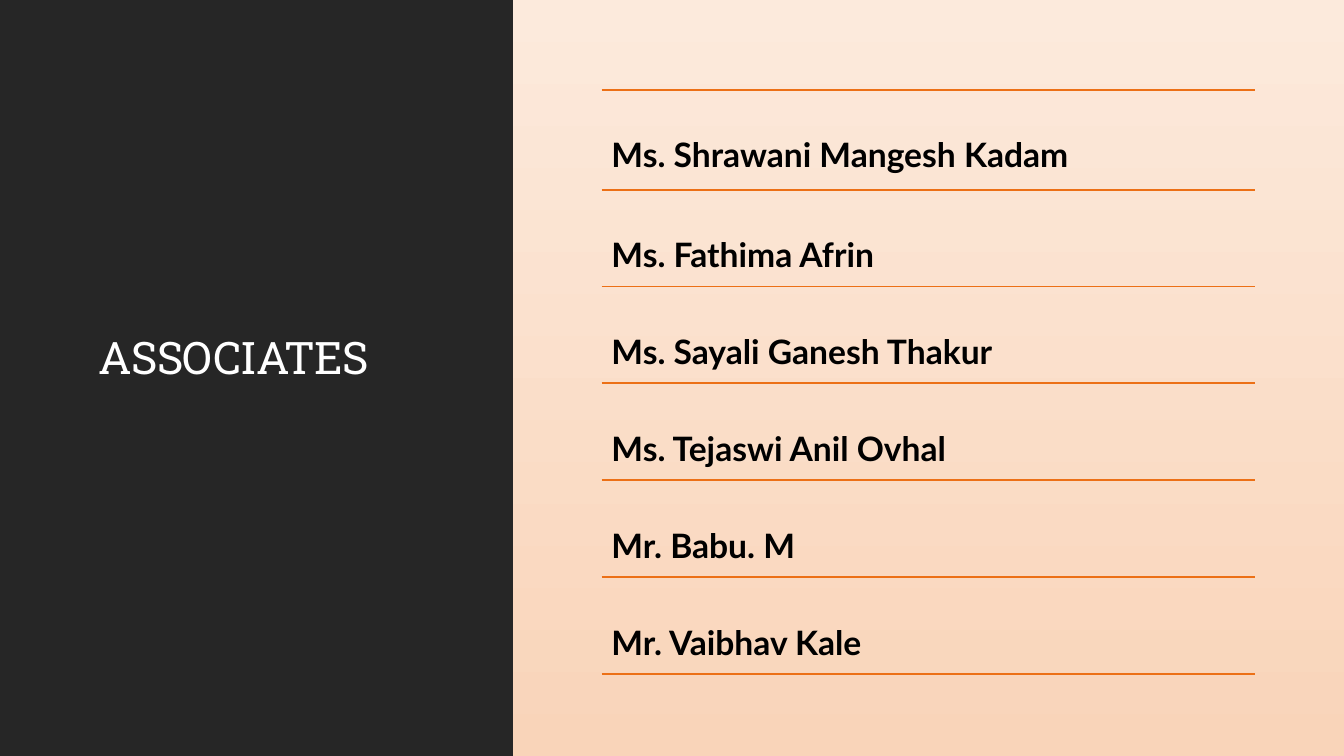
from pptx import Presentation
from pptx.dml.color import RGBColor
from pptx.enum import shapes, text
from pptx.oxml.ns import qn
from pptx.util import Cm, Pt

DARK = RGBColor(0x26, 0x26, 0x26)
WHITE = RGBColor(0xFF, 0xFF, 0xFF)
BLACK = RGBColor(0, 0, 0)
ORANGE = RGBColor(0xEC, 0x70, 0x16)
PEACH_TOP = RGBColor(0xFC, 0xEA, 0xDC)
PEACH_BOTTOM = RGBColor(0xF9, 0xD4, 0xB9)

ASSOCIATES = [
    "Ms. Shrawani Mangesh Kadam",
    "Ms. Fathima Afrin",
    "Ms. Sayali Ganesh Thakur",
    "Ms. Tejaswi Anil Ovhal",
    "Mr. Babu. M",
    "Mr. Vaibhav Kale",
]
FIRST_ROW = Cm(2.52)
ROW = Cm(2.44)


def paint_background(slide):
    fill = slide.background.fill
    fill.gradient()
    fill.gradient_angle = 270
    for stop, color in zip(fill.gradient_stops, (PEACH_TOP, PEACH_BOTTOM)):
        stop.color.rgb = color


def add_text(slide, words, left, top, width, height, font, size, color):
    sp = slide.shapes.add_textbox(left, top, width, height)
    tf = sp.text_frame
    tf.word_wrap = True
    tf.text = words
    p = tf.paragraphs[0]
    p.line_spacing = 0.9
    r = p.runs[0]
    r.font.name = font
    r.font.size = Pt(size)
    r.font.color.rgb = color
    return tf, r


def add_title_panel(slide, left, top, width, height):
    panel = slide.shapes.add_shape(
        shapes.MSO_SHAPE.RECTANGLE, left, top, width, height)
    panel.shadow.inherit = False
    panel.fill.solid()
    panel.fill.fore_color.rgb = DARK
    panel.line.fill.background()
    tf, r = add_text(slide, "ASSOCIATES", left + Cm(2.24), top + Cm(7.29),
                     width - Cm(3.23), Cm(2.51), "Roboto Slab", 32, WHITE)
    tf.vertical_anchor = text.MSO_ANCHOR.BOTTOM
    r.font._element.set("spc", "-50")


def add_rule(slide, left, top, width):
    rule = slide.shapes.add_connector(
        shapes.MSO_CONNECTOR.STRAIGHT, left, top, left + width, top)
    rule.line.color.rgb = ORANGE
    rule.line.width = Pt(1.25)
    sp_pr = rule._element.spPr
    sp_pr.append(sp_pr.makeelement(qn("a:effectLst"), {}))


def add_name_list(slide, left, top, width):
    """Each name stands at the foot of its row, between two rules."""
    add_rule(slide, left, top, width)
    for i, name in enumerate(ASSOCIATES):
        height = ROW if i else FIRST_ROW
        tf, r = add_text(slide, name, left, top, width, height,
                         "Lato", 24, BLACK)
        tf.margin_top = Cm(1.56)
        tf.margin_bottom = 0
        r.font.bold = True
        top += height
        add_rule(slide, left, top, width)


def main():
    prs = Presentation()
    prs.slide_width, prs.slide_height = Cm(33.87), Cm(19.05)
    slide = prs.slides.add_slide(prs.slide_layouts[6])
    paint_background(slide)
    add_title_panel(slide, 0, 0, Cm(12.93), prs.slide_height)
    add_name_list(slide, Cm(15.16), Cm(2.26), Cm(16.46))
    prs.save("out.pptx")


if __name__ == "__main__":
    main()
